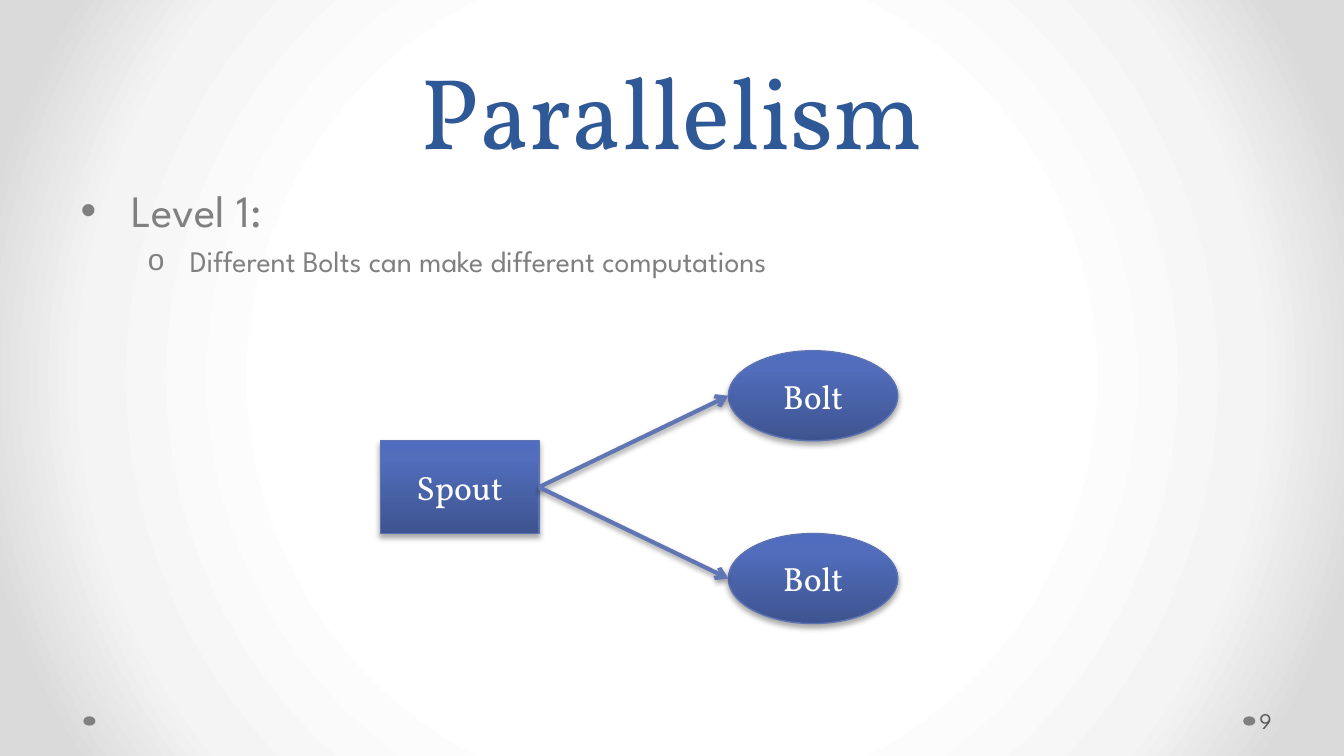
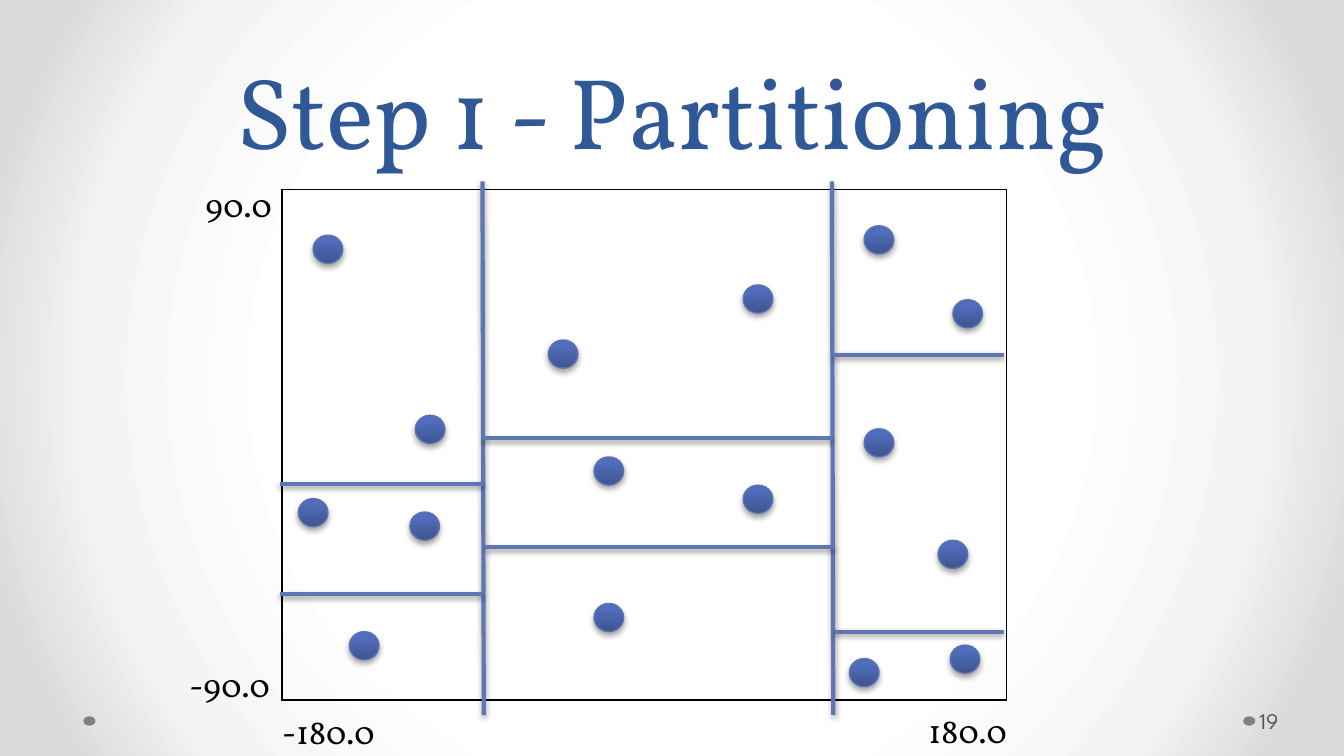
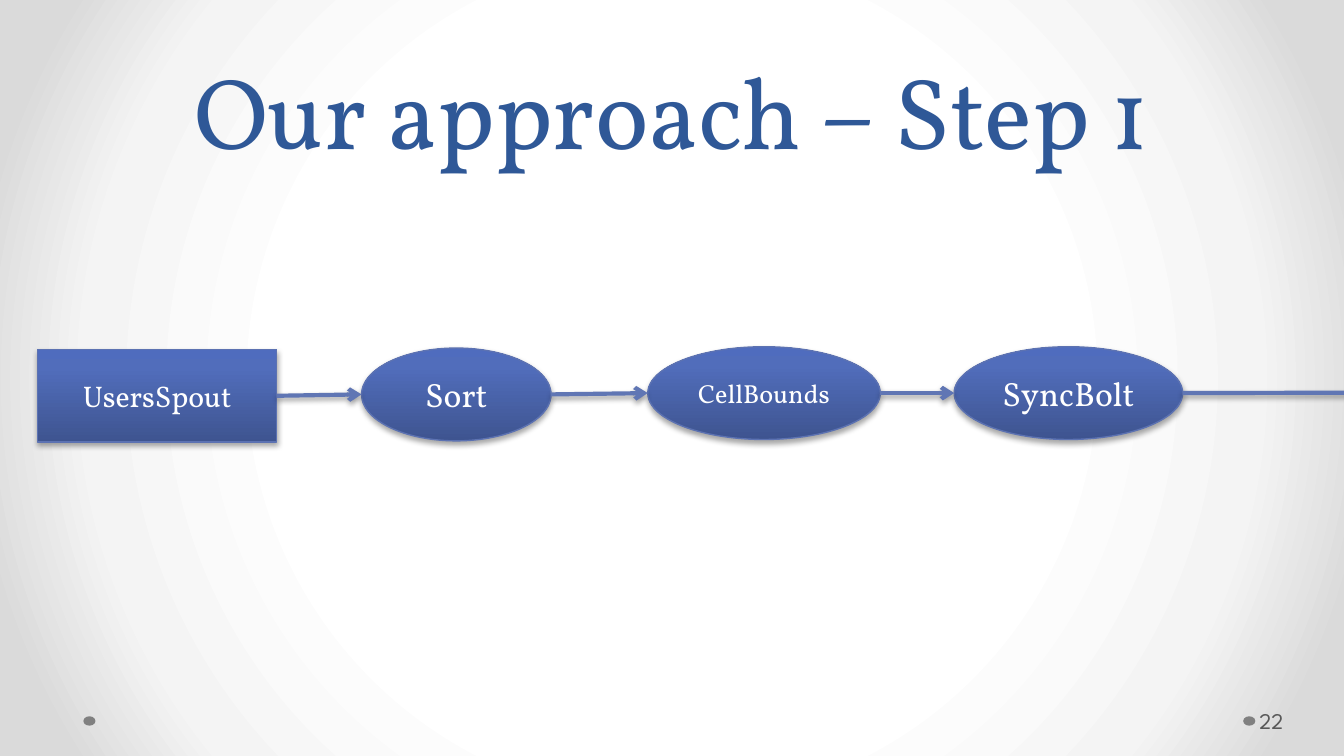
"""Build three slides about parallel bolts, grid partitioning and the first processing step."""
import pptx
import pptx.dml.color
import pptx.enum.shapes
import pptx.enum.text
import pptx.oxml
import pptx.oxml.ns
import pptx.util

Inches, Pt = pptx.util.Inches, pptx.util.Pt
SHAPE = pptx.enum.shapes.MSO_SHAPE
ALIGN = pptx.enum.text.PP_ALIGN
ANCHOR = pptx.enum.text.MSO_ANCHOR
FIT = pptx.enum.text.MSO_AUTO_SIZE
qn = pptx.oxml.ns.qn

SERIF, SANS = "Vollkorn", "League Spartan"
BLUE, GRAY, DARK, BLACK, WHITE = "2F5897", "808080", "595959", "000000", "FFFFFF"
EDGE, LINE = "5C72B2", "6076B4"
NODE_STOPS = [(0, "3E5490"), (80, "516DBB"), (100, "4F6CBE")]
BACK_STOPS = [(50, "FFFFFF"), (76, "F4F4F4"), (92, "DADADA")]
UPWARD = '<a:lin ang="16200000" scaled="0"/>'
RADIAL = '<a:path path="circle"><a:fillToRect l="50000" t="50000" r="50000" b="50000"/></a:path>'

FOOTER_DOTS = [(9.25, 5.33), (0.62, 5.33)]
TITLES = [("Parallelism", 9, 1), ("Step 1 - Partitioning", 19, 5), ("Our approach – Step 1", 22, 5)]
LEVELS = [("Level 1:", 0, 24), ("Different Bolts can make different computations", 1, 16)]

SPOUT = ("Spout", SHAPE.RECTANGLE, (2.83, 3.28, 1.18, 0.69), 18)
BOLTS = [("Bolt", SHAPE.OVAL, (5.42, y, 1.26, 0.67), 18) for y in (2.61, 3.97)]

GRID_BOX = (2.1, 1.41, 5.39, 3.8)
GRID_COLUMNS = [1.43, 2.6, 1.36]
POINTS = [
    (2.33, 1.75), (3.09, 3.09), (2.22, 3.71), (3.05, 3.81), (2.6, 4.7),
    (4.08, 2.53), (5.53, 2.12), (5.53, 3.61), (4.42, 3.4), (4.42, 4.49),
    (6.43, 1.68), (7.09, 2.23), (6.43, 3.19), (6.98, 4.02), (6.32, 4.9), (7.07, 4.8),
]
AXIS_LABELS = [("90.0", 1.43, 1.32), ("-90.0", 1.31, 4.89), ("180.0", 6.81, 5.23), ("-180.0", 2, 5.24)]
COLUMN_CUTS = [3.59, 6.19]
ROW_CUTS = [
    (3.6, 2.08, 3.6), (3.59, 2.08, 4.42), (6.19, 3.59, 3.26),
    (6.21, 3.61, 4.07), (6.19, 7.47, 2.64), (6.21, 7.47, 4.7),
]

STEPS = [
    ("UsersSpout", SHAPE.RECTANGLE, (0.28, 2.6, 1.78, 0.69), 16),
    ("Sort", SHAPE.OVAL, (2.69, 2.59, 1.41, 0.69), 18),
    ("CellBounds", SHAPE.OVAL, (4.82, 2.58, 1.73, 0.69), 14),
    ("SyncBolt", SHAPE.OVAL, (7.1, 2.58, 1.7, 0.69), 18),
]
LAST_ARROW_END = (10.9, 2.92)


def rgb(color):
    """Return a colour object for a hex string."""
    return pptx.dml.color.RGBColor.from_string(color)


def box(*lengths):
    """Convert inches to lengths."""
    return [Inches(v) for v in lengths]


def xml(tag, attrs="", inner=""):
    """Return a drawing element."""
    ns = pptx.oxml.ns.nsdecls("a")
    return pptx.oxml.parse_xml(f"<a:{tag} {ns} {attrs}>{inner}</a:{tag}>")


def set_gradient(parent, stops, direction):
    """Replace the solid fill of a parent element by a gradient."""
    inner = "".join(f'<a:gs pos="{pos * 1000}"><a:srgbClr val="{c}"/></a:gs>' for pos, c in stops)
    gradient = xml("gradFill", 'rotWithShape="1"', f"<a:gsLst>{inner}</a:gsLst>{direction}")
    parent.replace(parent.find(qn("a:solidFill")), gradient)


def add_shadow(sp, alpha, distance):
    """Give a shape or connector a soft shadow below it."""
    sp._element.spPr.append(xml("effectLst", "", (
        f'<a:outerShdw blurRad="{Pt(3.1)}" dist="{Pt(distance)}" dir="5400000" rotWithShape="0">'
        f'<a:srgbClr val="{BLACK}"><a:alpha val="{alpha * 1000}"/></a:srgbClr></a:outerShdw>')))


def write(p, text, size=18, color=BLACK, font=SERIF, align=None):
    """Write one formatted run in a paragraph."""
    r = p.add_run()
    r.text = text
    r.font.size, r.font.name, r.font.color.rgb = Pt(size), font, rgb(color)
    p.alignment = align


def place(sp, *bounds):
    """Move and size a shape."""
    sp.left, sp.top, sp.width, sp.height = box(*bounds)


def add_node(shapes, text, kind, bounds, size):
    """Add a shaded shape with an optional label."""
    sp = shapes.add_shape(kind, *box(*bounds))
    sp.fill.solid()
    set_gradient(sp._element.spPr, NODE_STOPS, UPWARD)
    sp.line.color.rgb, sp.line.width = rgb(EDGE), Pt(0.75)
    add_shadow(sp, 35, 1.8)
    if text:
        sp.text_frame.vertical_anchor = ANCHOR.MIDDLE
        write(sp.text_frame.paragraphs[0], text, size, WHITE, align=ALIGN.CENTER)
    return sp


def add_line(shapes, start, end):
    """Add a plain line."""
    cx = shapes.add_connector(pptx.enum.shapes.MSO_CONNECTOR.STRAIGHT, *box(*start, *end))
    cx.line.color.rgb, cx.line.width = rgb(LINE), Pt(2.25)
    add_shadow(cx, 38, 1.6)
    return cx


def add_arrow(shapes, source, start, end):
    """Add an arrow, joined to its source if that is a rectangle."""
    cx = add_line(shapes, start, end)
    cx.line._get_or_add_ln().append(xml("tailEnd", 'type="arrow"'))
    if source.auto_shape_type == SHAPE.RECTANGLE:
        cx.begin_connect(source, 3)


def side(node, right=False):
    """Return the middle of a node's left or right side."""
    x, y, w, h = node[2]
    return x + w * right, y + h / 2


def add_text(s, text, bounds, **style):
    """Add a text box with one line."""
    tf = s.shapes.add_textbox(*box(*bounds)).text_frame
    tf.word_wrap = True
    write(tf.paragraphs[0], text, **style)
    return tf


def add_base(prs, title, number, layout):
    """Add a slide with its title, footer dots and number."""
    s = prs.slides.add_slide(prs.slide_layouts[layout])
    for x, y in FOOTER_DOTS:
        sp = s.shapes.add_shape(SHAPE.OVAL, *box(x, y, 0.09, 0.07))
        sp.shadow.inherit = False
        sp.fill.solid()
        sp.fill.fore_color.rgb = rgb(GRAY)
        sp.line.fill.background()
    place(s.shapes.title, 0.5, 0, 9, 1.31)
    tf = s.shapes.title.text_frame
    tf.auto_size, tf.vertical_anchor = FIT.NONE, ANCHOR.BOTTOM
    write(tf.paragraphs[0], title, 54, BLUE, align=ALIGN.CENTER)
    tf.paragraphs[0].line_spacing = Pt(58)
    tf = add_text(s, str(number), (9.34, 5.21, 0.61, 0.3), size=12, color=DARK, font=SANS)
    tf.vertical_anchor, tf.margin_left = ANCHOR.MIDDLE, Inches(0.03)
    tf.margin_right = tf.margin_top = tf.margin_bottom = Inches(0.05)
    return s


def fill_parallelism(s):
    """Add the list and the spout feeding two bolts."""
    body = s.placeholders[1]
    place(body, 0.5, 1.31, 9, 3.71)
    tf = body.text_frame
    tf.auto_size = FIT.NONE
    for i, (text, level, size) in enumerate(LEVELS):
        p = tf.add_paragraph() if i else tf.paragraphs[0]
        p.level = level
        write(p, text, size, GRAY, SANS)
        p._p.get_or_add_pPr().append(xml("buChar", f'char="{"•o"[level]}"'))
    shapes = s.shapes.add_group_shape().shapes
    spout = add_node(shapes, *SPOUT)
    for bolt in BOLTS:
        add_node(shapes, *bolt)
        add_arrow(shapes, spout, side(SPOUT, True), side(bolt))


def add_grid(s):
    """Add the three-column table with an outer border."""
    table = s.shapes.add_table(1, len(GRID_COLUMNS), *box(*GRID_BOX)).table
    table.first_row = table.horz_banding = False
    last = len(GRID_COLUMNS) - 1
    solid = f'<a:solidFill><a:srgbClr val="{BLACK}"/></a:solidFill>'
    for i, width in enumerate(GRID_COLUMNS):
        table.columns[i].width = Inches(width)
        cell = table.cell(0, i)
        cell.fill.background()
        shown = {"L": i == 0, "R": i == last, "T": True, "B": True}
        for k, (edge, visible) in enumerate(shown.items()):
            border = xml(f"ln{edge}", f'w="{Pt(1)}"', solid if visible else "<a:noFill/>")
            cell._tc.get_or_add_tcPr().insert(k, border)


def fill_partitioning(s):
    """Add the grid, its points, axis labels and cuts."""
    add_grid(s)
    for x, y in POINTS:
        add_node(s.shapes, "", SHAPE.OVAL, (x, y, 0.22, 0.21), 18)
    for text, x, y in AXIS_LABELS:
        add_text(s, text, (x, y, 0.91, 0.4)).auto_size = FIT.SHAPE_TO_FIT_TEXT
    for x in COLUMN_CUTS:
        add_line(s.shapes, (x, 1.35), (x + 0.01, 5.32))
    for x1, x2, y in ROW_CUTS:
        add_line(s.shapes, (x1, y), (x2, y))


def fill_approach(s):
    """Add the chain of steps and the arrows between them."""
    nodes = [add_node(s.shapes, *step) for step in STEPS]
    ends = [side(step) for step in STEPS[1:]] + [LAST_ARROW_END]
    for step, node, end in zip(STEPS, nodes, ends):
        add_arrow(s.shapes, node, side(step, True), end)


def main():
    """Build and save the presentation."""
    prs = pptx.Presentation()
    prs.slide_width = Inches(10)
    prs.slide_height = prs.slide_width * 9 // 16
    master = prs.slide_master
    master.background.fill.solid()
    set_gradient(master.element.find(f".//{qn('p:bgPr')}"), BACK_STOPS, RADIAL)
    for base, fill in zip(TITLES, (fill_parallelism, fill_partitioning, fill_approach)):
        fill(add_base(prs, *base))
    prs.save("out.pptx")


if __name__ == "__main__":
    main()
